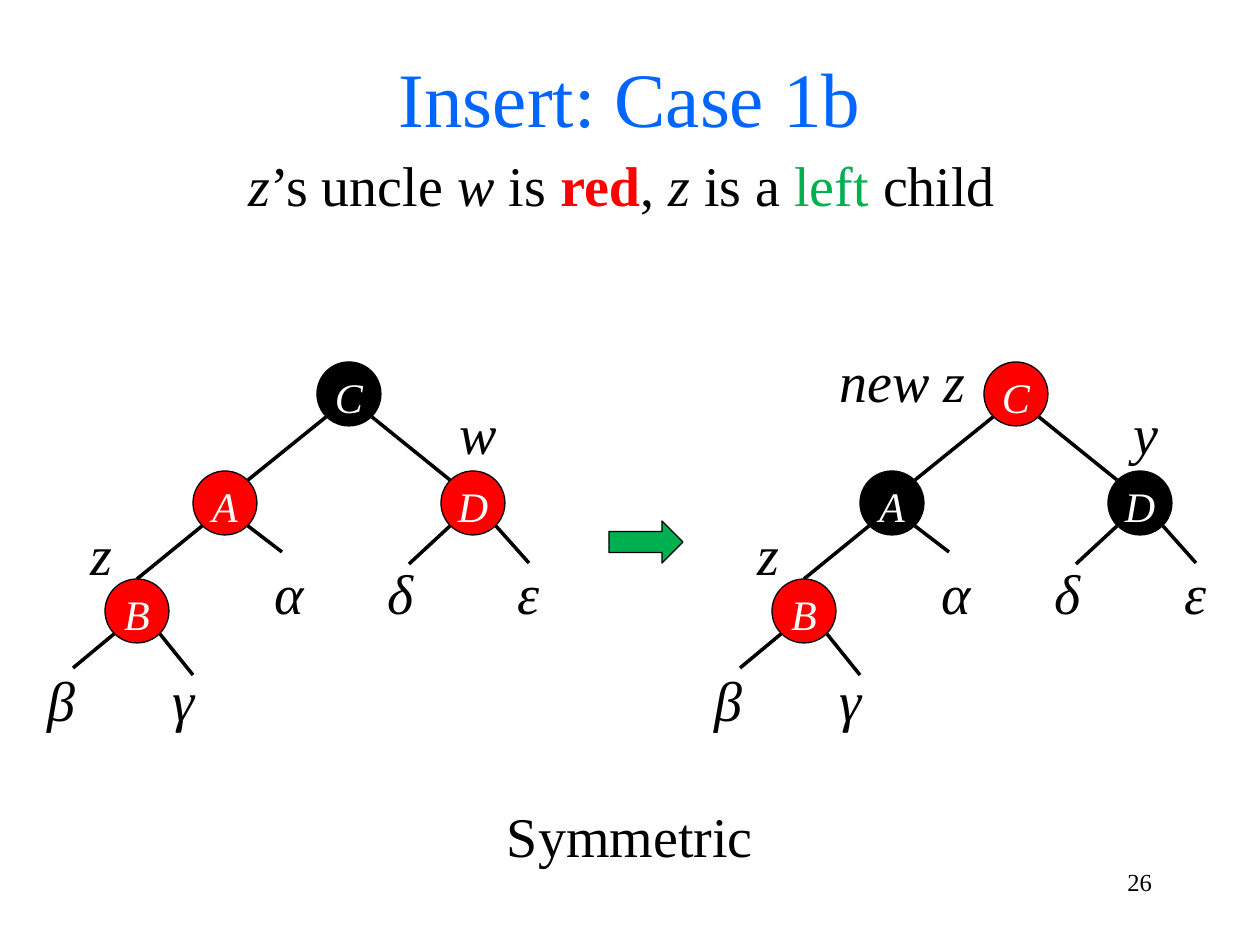
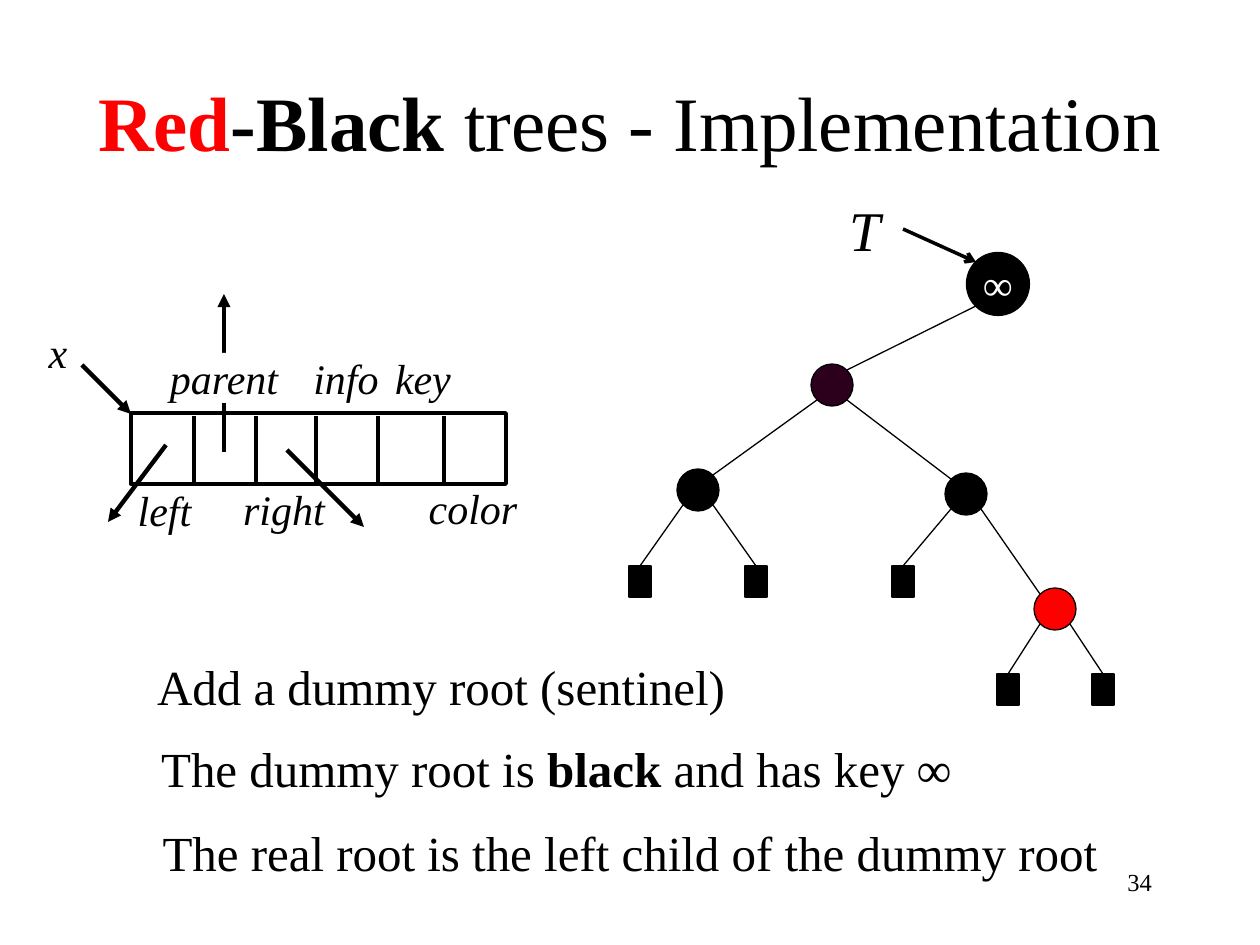
from lxml import etree
from pptx import Presentation
from pptx import util as u
from pptx.dml.color import RGBColor
from pptx.enum import shapes, text
from pptx.oxml.ns import qn

PX = 914400 / 126
FONT = "Times New Roman"
BLACK, WHITE, RED = "000000", "FFFFFF", "FF0000"
BLUE, GREEN, PLUM = "0066FF", "00B050", "2C001D"
WIDTH, HEIGHT = 1260, 945
ITALIC, BOLD = {"italic": True}, {"bold": True}
TOP, MIDDLE = text.MSO_ANCHOR.TOP, text.MSO_ANCHOR.MIDDLE
CENTER, RIGHT = text.PP_ALIGN.CENTER, text.PP_ALIGN.RIGHT
OVAL, RECT = shapes.MSO_SHAPE.OVAL, shapes.MSO_SHAPE.RECTANGLE


def px(*lengths):
    return [u.Emu(round(length * PX)) for length in lengths]


def rgb(color):
    return RGBColor.from_string(color)


def write(holder, content, size=32, color=BLACK, italic=False, bold=False,
          align=CENTER, anchor=TOP, inset=(13, 6), wrap=True):
    """Fill a shape with one paragraph; content is a string or (string, format) runs."""
    frame = holder.text_frame
    frame.word_wrap, frame.vertical_anchor = wrap, anchor
    side, edge = px(*inset)
    frame.margin_left = frame.margin_right = side
    frame.margin_top = frame.margin_bottom = edge
    paragraph = frame.paragraphs[0]
    paragraph.alignment = align
    for words, own in [(content, {})] if isinstance(content, str) else content:
        run = paragraph.add_run()
        run.text = words
        run.font.name, run.font.size = FONT, u.Pt(size)
        run.font.italic = own.get("italic", italic)
        run.font.bold = own.get("bold", bold)
        run.font.color.rgb = rgb(own.get("color", color))


def add_text(slide, x, y, w, h, content, fill=None, **style):
    box = slide.shapes.add_textbox(*px(x, y, w, h))
    if fill:
        box.fill.solid()
        box.fill.fore_color.rgb = rgb(fill)
    write(box, content, **style)


def add_preset(slide, kind, x, y, w, h, fill=None, weight=0.75):
    preset = slide.shapes.add_shape(kind, *px(x, y, w, h))
    preset.shadow.inherit = False
    if fill:
        preset.fill.solid()
        preset.fill.fore_color.rgb = rgb(fill)
    else:
        preset.fill.background()
    preset.line.color.rgb = rgb(BLACK)
    preset.line.width = u.Pt(weight)
    return preset


def add_line(slide, start, end, weight=2, head=None):
    link = slide.shapes.add_connector(shapes.MSO_CONNECTOR.STRAIGHT, *px(*start, *end))
    link.line.color.rgb = rgb(BLACK)
    link.line.width = u.Pt(weight)
    if head:
        etree.SubElement(link.line._get_or_add_ln(), qn("a:tailEnd"), type=head)
    etree.SubElement(link._element.spPr, qn("a:effectLst"))


def add_node(slide, center, diameter, fill, key="", **style):
    x, y = center
    node = add_preset(slide, OVAL, x - diameter / 2, y - diameter / 2,
                      diameter, diameter, fill)
    if key:
        write(node, key, size=24, color=WHITE, inset=(0, 0), **style)


def corner(center, diameter, across, down):
    """Point on a node's rim at 45 degrees; across and down are -1 or 1."""
    reach = round(diameter * 0.355)
    return center[0] + across * reach, center[1] + down * reach


def new_slide(prs, number):
    slide = prs.slides.add_slide(prs.slide_layouts[6])
    add_text(slide, 903, 861, 262, 63, str(number), size=14, align=RIGHT)
    return slide


def case_tree(slide, shift, fills, labels):
    """Draw the rotated-case tree, moved right by shift."""
    diameter = 64
    places = {"C": (349, 394), "A": (225, 503), "D": (473, 503), "B": (137, 611)}
    nodes = {key: (x + shift, y) for key, (x, y) in places.items()}
    for key, center in nodes.items():
        add_node(slide, center, diameter, fills[key], key, italic=True)

    for child, side in (("A", -1), ("D", 1)):
        add_line(slide, corner(nodes["C"], diameter, side, 1),
                 corner(nodes[child], diameter, -side, -1))
    b_x, b_y = nodes["B"]
    add_line(slide, corner(nodes["A"], diameter, -1, 1), (b_x, b_y - diameter // 2))

    subtrees = [("A", 1, 282, 552), ("B", -1, 73, 668), ("B", 1, 193, 675),
                ("D", -1, 409, 564), ("D", 1, 529, 563)]
    for key, side, x, y in subtrees:
        add_line(slide, corner(nodes[key], diameter, side, 1), (x + shift, y))

    greek = [("α", 249, 553), ("β", 21, 660), ("γ", 143, 660),
             ("ε", 488, 553), ("δ", 360, 553)]
    for label, x, y in greek + labels:
        width = 167 if len(label) > 1 else 81
        add_text(slide, x + shift, y, width, 62, label, italic=True, inset=(0, 6))


def insert_case(prs):
    slide = new_slide(prs, 26)
    case_tree(slide, 0, {"C": BLACK, "A": RED, "D": RED, "B": RED},
              [("z", 61, 514), ("w", 438, 393)])
    add_preset(slide, shapes.MSO_SHAPE.RIGHT_ARROW, 609, 521, 74, 42, GREEN)
    case_tree(slide, 667, {"C": RED, "A": BLACK, "D": BLACK, "B": RED},
              [("z", 61, 514), ("y", 438, 393), ("new z", 152, 341)])
    add_text(slide, 0, 796, WIDTH, 81, "Symmetric")
    add_text(slide, 0, 45, WIDTH, 129, "Insert: Case 1b", size=44, color=BLUE)
    add_text(slide, -8, 144, WIDTH, 81, [
        ("z", ITALIC), ("’s uncle ", {}), ("w", ITALIC), (" is ", {}),
        ("red", {"color": RED, "bold": True}), (", ", {}), ("z", ITALIC),
        (" is a ", {}), ("left", {"color": GREEN}), (" child", {})])


def node_record(slide):
    """Draw the fields of one tree node with their pointers."""
    left, top, width, height = 131, 413, 375, 71
    add_preset(slide, RECT, left, top, width, height, weight=2.25)
    for x in (194, 256, 316, 378, 444):
        add_line(slide, (x, top + 3), (x, top + height - 2), 2.25)
    pointers = [((287, 450), (364, 527)), ((166, 445), (108, 522)),
                ((82, 365), (131, 414)), ((224, 452), (224, 294))]
    for start, end in pointers:
        add_line(slide, start, end, 2.5, "triangle")
    fields = [("right", 229, 484, 110, None), ("left", 108, 485, 113, None),
              ("color", 422, 483, 102, None), ("key", 372, 353, 102, None),
              ("parent", 151, 353, 146, WHITE), ("info", 295, 353, 102, None)]
    for field, x, y, w, fill in fields:
        add_text(slide, x, y, w, 50, field, fill, size=24, italic=True, inset=(0, 0))
    add_text(slide, 34, 321, 48, 63, "x", size=24, italic=True)


def sentinel_tree(slide):
    big, small = 63, 42
    sentinel, root, low = (998, 284), (832, 385), (698, 490)
    high, red = (966, 494), (1055, 609)
    for center, fill in ((low, BLACK), (root, PLUM), (high, BLACK), (red, RED)):
        add_node(slide, center, small, fill)
    add_node(slide, sentinel, big, BLACK, "∞", anchor=MIDDLE, wrap=False)

    add_line(slide, corner(root, small, 1, -1), corner(sentinel, big, -1, 1), 0.75)
    for parent, child, side in ((root, low, -1), (root, high, 1), (high, red, 1)):
        add_line(slide, corner(parent, small, side, 1),
                 corner(child, small, -1 if child == red else -side, -1), 0.75)

    leaves = [(low, -1, 640, 566), (low, 1, 756, 566), (high, -1, 903, 566),
              (red, -1, 1008, 674), (red, 1, 1103, 674)]
    for parent, side, x, y in leaves:
        add_preset(slide, RECT, x - 11, y, 22, 31, BLACK)
        add_line(slide, corner(parent, small, side, 1), (x, y), 0.75)

    add_line(slide, (903, 229), corner(sentinel, big, -1, -1), 2, "arrow")
    add_text(slide, 829, 189, 73, 81, "T", italic=True)


def implementation(prs):
    slide = new_slide(prs, 34)
    add_text(slide, 0, 42, WIDTH, 158, [
        ("Red", {"color": RED, "bold": True}), ("-Black", BOLD),
        (" trees - Implementation", {})], size=44, anchor=MIDDLE)
    node_record(slide)
    sentinel_tree(slide)
    remarks = [
        (42, 651, 798, "Add a dummy root (sentinel)"),
        (21, 733, 1071, [("The dummy root is ", {}), ("black", BOLD),
                         (" and has key ∞", {})]),
        (0, 816, WIDTH, "The real root is the left child of the dummy root")]
    for x, y, w, remark in remarks:
        add_text(slide, x, y, w, 72, remark, size=28)


def main():
    prs = Presentation()
    prs.slide_width, prs.slide_height = px(WIDTH, HEIGHT)
    insert_case(prs)
    implementation(prs)
    prs.save("out.pptx")


if __name__ == "__main__":
    main()
